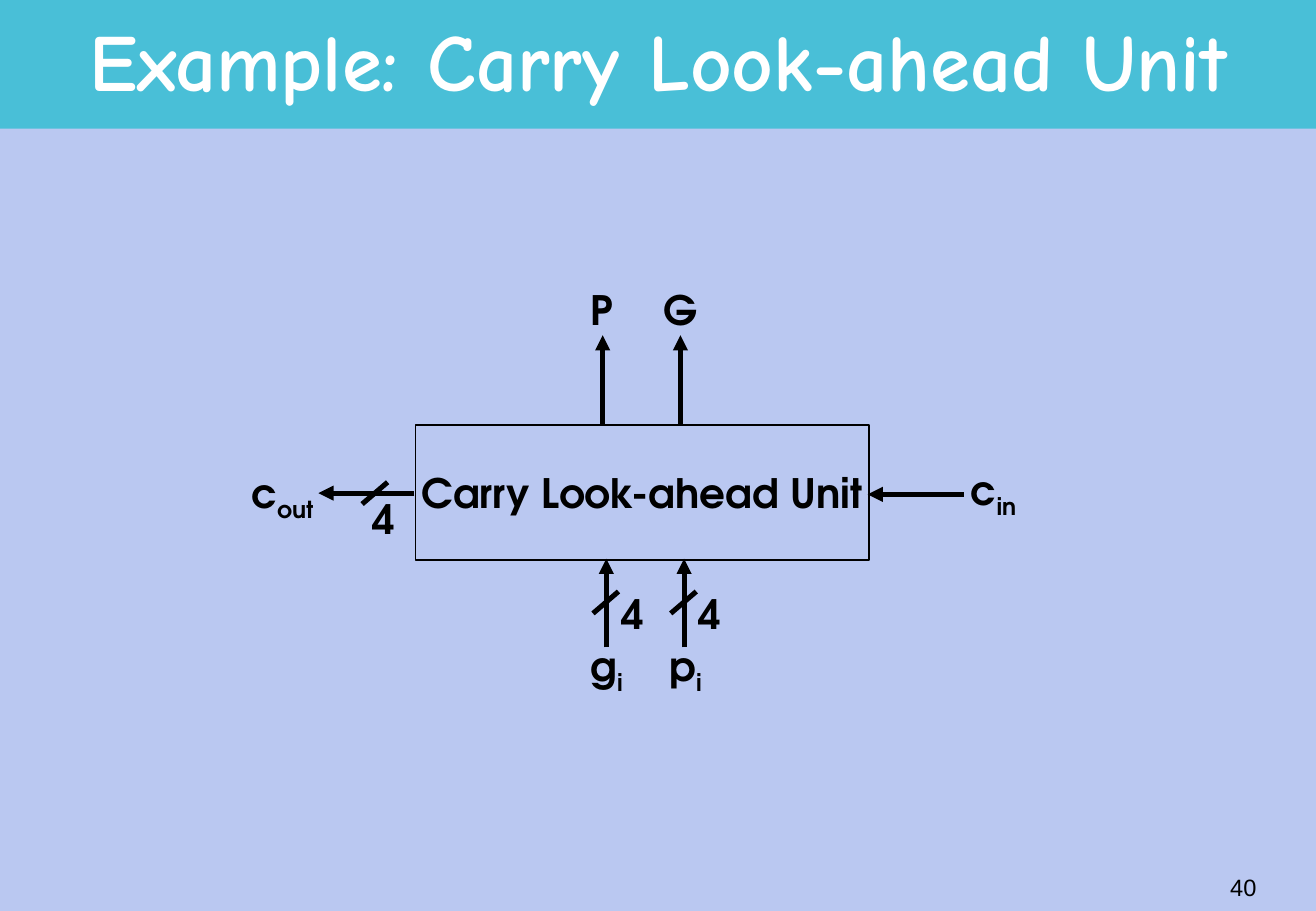
"""Build the slide showing the inputs and outputs of a carry look-ahead unit."""
from lxml.etree import SubElement
from pptx import Presentation
from pptx.dml.color import RGBColor
from pptx.enum.shapes import MSO_CONNECTOR, MSO_SHAPE
from pptx.enum.text import MSO_ANCHOR, PP_ALIGN
from pptx.oxml.ns import qn
from pptx.util import Inches, Pt


def style_text(shape, text, subscript="", size=24, name="TeX Gyre Adventor",
               color="000000", bold=True, align=PP_ALIGN.LEFT):
    frame = shape.text_frame
    frame.word_wrap = False
    paragraph = frame.paragraphs[0]
    paragraph.alignment = align
    paragraph.font.size = Pt(size)
    paragraph.font.name = name
    paragraph.font.bold = bold
    paragraph.font.color.rgb = RGBColor.from_string(color)
    paragraph.add_run().text = text
    if subscript:
        run = paragraph.add_run()
        run.text = subscript
        run.font._element.set("baseline", "-25000")


def add_line(start, end, arrow):
    line = slide.shapes.add_connector(
        MSO_CONNECTOR.STRAIGHT, *[Inches(value) for value in start + end])
    line.line.width = Pt(3)
    line.line.color.rgb = RGBColor.from_string("000000")
    if arrow:
        SubElement(line.line._get_or_add_ln(), qn("a:tailEnd"), type="triangle")
    SubElement(line._element.spPr, qn("a:effectLst"))


presentation = Presentation()
presentation.slide_width = Inches(10.83)
presentation.slide_height = Inches(7.5)
slide = presentation.slides.add_slide(presentation.slide_layouts[5])
slide.background.fill.solid()
slide.background.fill.fore_color.rgb = RGBColor.from_string("BAC8F1")

band = slide.shapes.add_shape(MSO_SHAPE.RECTANGLE, 0, 0, Inches(10.83), Inches(1.06))
band.shadow.inherit = False
band.fill.solid()
band.fill.fore_color.rgb = RGBColor.from_string("49BFD7")
band.line.fill.background()

title = slide.shapes.title
title._element.addprevious(band._element)
title.left, title.top = Inches(0), Inches(0.05)
title.width, title.height = Inches(10.83), Inches(0.99)
style_text(title, "Example: Carry Look-ahead Unit", size=48, name="Comic Neue",
           color="FFFFFF", align=PP_ALIGN.CENTER)
title.text_frame.word_wrap = True
title.text_frame.vertical_anchor = MSO_ANCHOR.MIDDLE
title.text_frame.paragraphs[0].line_spacing = 0.85

unit = slide.shapes.add_shape(
    MSO_SHAPE.RECTANGLE, Inches(3.42), Inches(3.5), Inches(3.73), Inches(1.11))
unit.shadow.inherit = False
unit.fill.solid()
unit.fill.fore_color.rgb = RGBColor.from_string("BAC8F1")
unit.line.color.rgb = RGBColor.from_string("000000")
unit.line.width = Pt(1)
unit.text_frame.vertical_anchor = MSO_ANCHOR.MIDDLE
style_text(unit, "Carry Look-ahead Unit", align=PP_ALIGN.CENTER)

arrows = [
    ((4.96, 3.49), (4.96, 2.76)),
    ((5.6, 3.49), (5.6, 2.76)),
    ((4.99, 5.33), (4.99, 4.6)),
    ((5.63, 5.33), (5.63, 4.6)),
    ((7.93, 4.07), (7.14, 4.07)),
    ((3.41, 4.06), (2.62, 4.06)),
]
for start, end in arrows:
    add_line(start, end, arrow=True)

bus_slashes = [(4.99, 4.96), (5.63, 4.96), (3.09, 4.06)]
for x, y in bus_slashes:
    add_line((x + 0.1, y - 0.09), (x - 0.11, y + 0.09), arrow=False)

labels = [
    ("P", "", 4.76, 2.3, 0.39),
    ("G", "", 5.36, 2.3, 0.48),
    ("g", "i", 4.76, 5.23, 0.48),
    ("p", "i", 5.41, 5.23, 0.48),
    ("c", "in", 7.89, 3.78, 0.6),
    ("c", "out", 1.97, 3.8, 0.76),
    ("4", "", 5.02, 4.8, 0.39),
    ("4", "", 5.65, 4.8, 0.39),
    ("4", "", 2.97, 4.02, 0.39),
]
for text, subscript, left, top, width in labels:
    label = slide.shapes.add_textbox(Inches(left), Inches(top), Inches(width), Inches(0.5))
    style_text(label, text, subscript)

page_number = slide.shapes.add_textbox(
    Inches(8.18), Inches(7.05), Inches(2.26), Inches(0.5))
style_text(page_number, "40", size=14, name="Arial", bold=False, align=PP_ALIGN.RIGHT)
page_number.text_frame.vertical_anchor = MSO_ANCHOR.MIDDLE

presentation.save("out.pptx")
